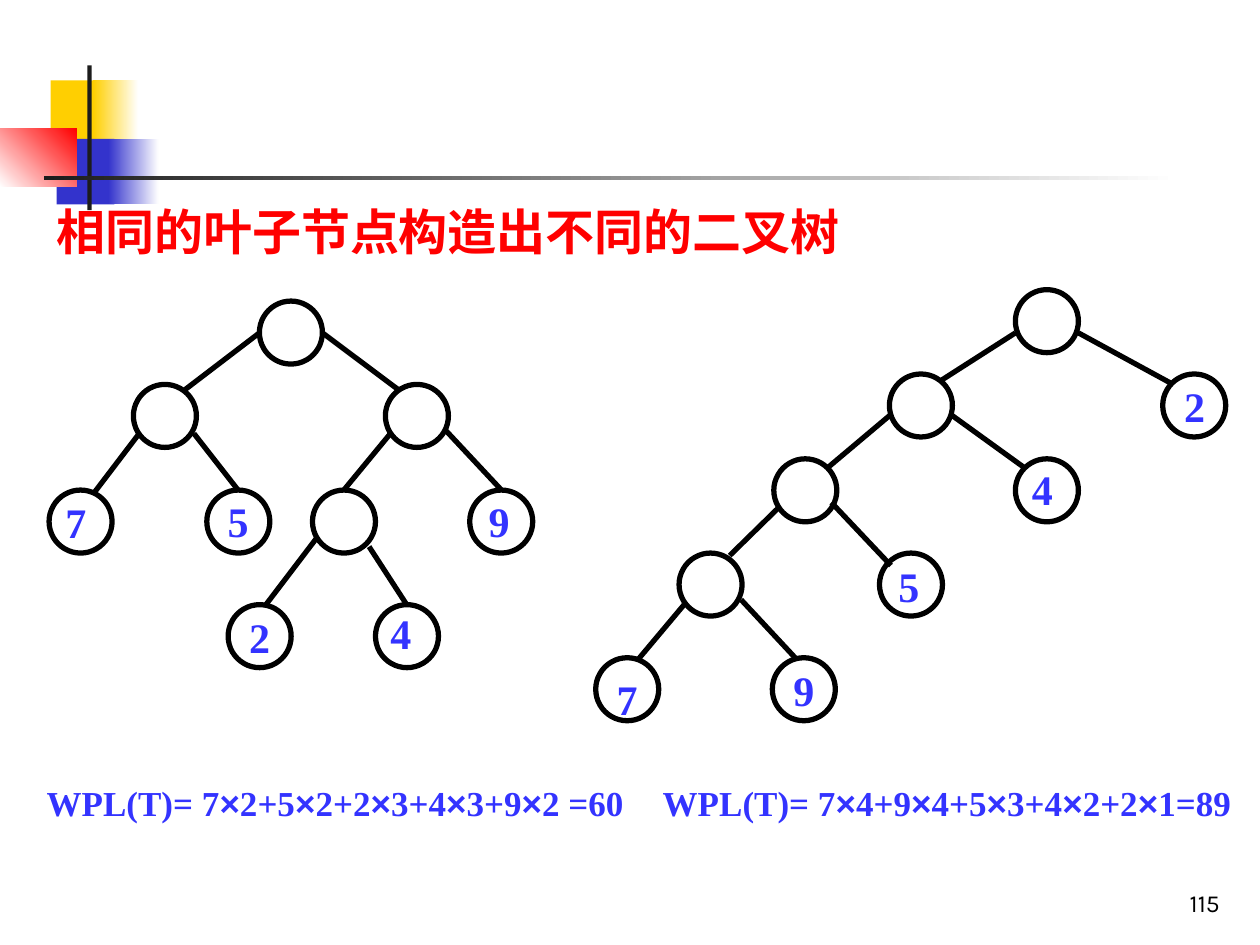
from itertools import groupby

from lxml.etree import SubElement
from pptx import Presentation
from pptx.dml.color import RGBColor
from pptx.enum.shapes import MSO_CONNECTOR, MSO_SHAPE
from pptx.enum.text import MSO_ANCHOR, PP_ALIGN
from pptx.oxml.ns import qn
from pptx.util import Cm, Pt

BLACK = RGBColor(0x00, 0x00, 0x00)
WHITE = RGBColor(0xFF, 0xFF, 0xFF)
CHARCOAL = RGBColor(0x1C, 0x1C, 0x1C)
YELLOW = RGBColor(0xFF, 0xCF, 0x01)
NAVY = RGBColor(0x33, 0x33, 0xCC)
BLUE = RGBColor(0x33, 0x33, 0xFF)
RED = RGBColor(0xFF, 0x00, 0x00)

SERIF = "Times New Roman"
NODE_SIZE = 1.27

# Left, top, width, height, colour, then end colour and angle where it fades
BLOCKS = [
    (1.02, 1.62, 1.22, 1.32, YELLOW),
    (1.88, 1.62, 0.91, 1.32, YELLOW, WHITE),
    (1.14, 2.8, 1.17, 1.32, NAVY),
    (2.18, 2.8, 1.02, 1.32, NAVY, WHITE),
    (0, 2.59, 1.55, 1.17, WHITE, RED, 45),
    (1.76, 1.32, 0.09, 2.92, CHARCOAL),
    (0.89, 3.54, 22.86, 0.09, CHARCOAL, WHITE),
]

# Left and top of each node
BALANCED_NODES = [
    (5.23, 6.07), (2.69, 7.75), (7.77, 7.75),
    (0.99, 9.88), (4.17, 9.88), (6.3, 9.88), (9.47, 9.88),
    (7.57, 12.19),
]
SKEWED_NODES = [
    (20.47, 5.84), (17.93, 7.54), (23.44, 7.54), (15.6, 9.25),
    (20.47, 9.25), (13.69, 11.15), (17.73, 11.15),
]
# Left, top, weight, extra top inset of leaves that hold their own weight
WEIGHTED_NODES = [
    (4.6, 12.19, "2", 0), (12.01, 13.26, "7", 0.36), (15.57, 13.26, "9", 0),
]
# Weight, left, top, width
LEAF_WEIGHTS = [
    ("7", 1.07, 9.88, 1.42), ("5", 4.34, 9.86, 0.92),
    ("4", 7.62, 12.12, 1.42), ("9", 9.6, 9.86, 0.92),
    ("2", 23.62, 7.54, 0.92), ("5", 17.86, 11.18, 0.92),
    ("4", 20.55, 9.22, 0.92),
]
# Parent end x, y, child end x, y
BALANCED_EDGES = [
    (5.23, 6.71, 3.71, 7.87), (6.5, 6.71, 8.05, 7.87),
    (2.79, 8.76, 1.9, 9.93), (3.91, 8.74, 4.8, 9.88),
    (7.87, 8.74, 6.93, 9.88), (8.97, 8.66, 10.11, 9.88),
    (6.38, 10.85, 5.36, 12.19), (7.44, 11.02, 8.2, 12.19),
]
SKEWED_EDGES = [
    (20.47, 6.71, 18.97, 7.67), (21.74, 6.71, 23.65, 7.75),
    (17.93, 8.38, 16.66, 9.45), (19.2, 8.38, 20.68, 9.45),
    (15.72, 10.21, 14.71, 11.2), (16.76, 10.13, 17.96, 11.4),
    (13.79, 12.19, 12.85, 13.31), (14.94, 12.09, 16.03, 13.26),
]


class TreeSlide:
    def __init__(self, slide, stroke=Pt(3)):
        self.shapes = slide.shapes
        self.stroke = stroke

    def block(self, left, top, width, height, colour, fade_to=None, angle=0):
        """Draw a borderless rectangle, fading to a second colour if given."""
        rect = self.shapes.add_shape(
            MSO_SHAPE.RECTANGLE, Cm(left), Cm(top), Cm(width), Cm(height))
        rect.shadow.inherit = False
        rect.line.fill.background()
        if fade_to is None:
            rect.fill.solid()
            rect.fill.fore_color.rgb = colour
        else:
            rect.fill.gradient()
            rect.fill.gradient_angle = angle
            for stop, shade in zip(rect.fill.gradient_stops, (colour, fade_to)):
                stop.color.rgb = shade

    def edge(self, x1, y1, x2, y2):
        branch = self.shapes.add_connector(
            MSO_CONNECTOR.STRAIGHT, Cm(x1), Cm(y1), Cm(x2), Cm(y2))
        branch.line.color.rgb = BLACK
        branch.line.width = self.stroke
        SubElement(branch._element.spPr, qn("a:effectLst"))

    def node(self, left, top, weight=None, extra_top=0):
        circle = self.shapes.add_shape(
            MSO_SHAPE.OVAL, Cm(left), Cm(top), Cm(NODE_SIZE), Cm(NODE_SIZE))
        circle.shadow.inherit = False
        circle.fill.background()
        circle.line.color.rgb = BLACK
        circle.line.width = self.stroke
        if weight:
            frame = circle.text_frame
            frame.word_wrap = False
            frame.vertical_anchor = MSO_ANCHOR.MIDDLE
            frame.margin_top = Cm(0.13 + extra_top)
            self.fill_text(frame, weight, 24).alignment = PP_ALIGN.CENTER

    def text(self, words, left, top, width, height, size, **style):
        box = self.shapes.add_textbox(Cm(left), Cm(top), Cm(width), Cm(height))
        box.text_frame.word_wrap = True
        return self.fill_text(box.text_frame, words, size, **style)

    def fill_text(self, frame, words, size, colour=BLUE, bold=True, font=SERIF):
        """Fill the first paragraph, setting each × in Arial."""
        paragraph = frame.paragraphs[0]
        paragraph.font.size = Pt(size)
        paragraph.font.name = font
        paragraph.font.bold = bold
        paragraph.font.color.rgb = colour
        for is_times_sign, letters in groupby(words, lambda letter: letter == "×"):
            run = paragraph.add_run()
            run.text = "".join(letters)
            if is_times_sign:
                run.font.name = "Arial"
        return paragraph

    def page_number(self, number):
        paragraph = self.text(number, 19.56, 17.35, 5.28, 1.27, 14,
                              colour=BLACK, bold=False, font="Karla")
        paragraph.alignment = PP_ALIGN.RIGHT
        paragraph.line_spacing = 0.8
        self.shapes[-1].text_frame.vertical_anchor = MSO_ANCHOR.BOTTOM


def main():
    deck = Presentation()
    deck.slide_width, deck.slide_height = Cm(25.4), Cm(19.05)
    page = TreeSlide(deck.slides.add_slide(deck.slide_layouts[6]))

    for block in BLOCKS:
        page.block(*block)
    for ends in BALANCED_EDGES + SKEWED_EDGES:
        page.edge(*ends)
    for place in BALANCED_NODES + SKEWED_NODES + WEIGHTED_NODES:
        page.node(*place)
    for weight, left, top, width in LEAF_WEIGHTS:
        page.text(weight, left, top, width, NODE_SIZE, 24)

    for formula, left, width in [
        ("WPL(T)= 7×2+5×2+2×3+4×3+9×2 =60", 0.69, 12.4),
        ("WPL(T)= 7×4+9×4+5×3+4×2+2×1=89", 13.11, 12.29),
    ]:
        page.text(formula, left, 15.47, width, 2.29, 20).line_spacing = 1.2

    page.text("相同的叶子节点构造出不同的二叉树",
              0.89, 3.94, 18.59, 1.45, 28, colour=RED)
    page.page_number("115")
    deck.save("out.pptx")


if __name__ == "__main__":
    main()
